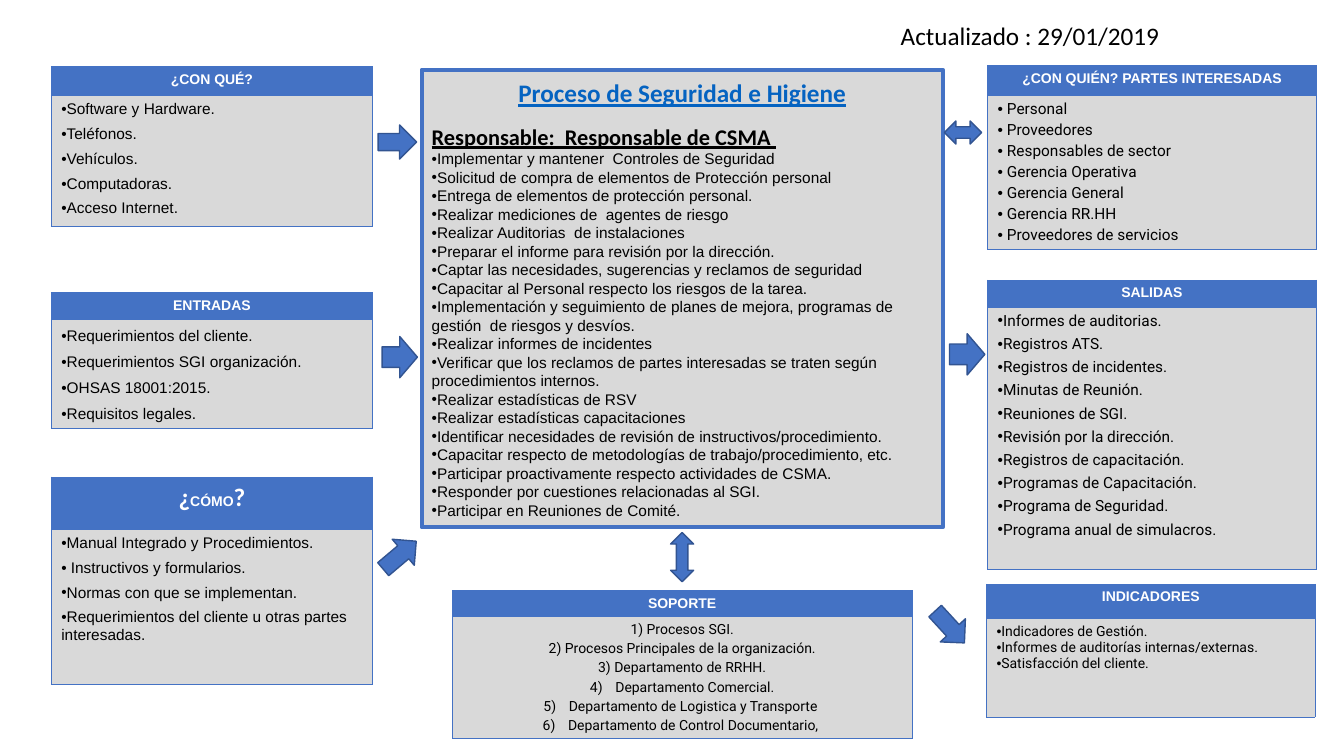
from pptx import Presentation
from pptx.dml.color import RGBColor
from pptx.enum.shapes import MSO_SHAPE as Shape
from pptx.enum.text import MSO_ANCHOR as Anchor, PP_ALIGN as Align
from pptx.oxml import parse_xml
from pptx.oxml.ns import nsdecls
from pptx.util import Cm, Pt

BLUE, DARK_BLUE, GRAY = "4472C4", "325491", "D9D9D9"
WHITE, BLACK, LINK_BLUE = "FFFFFF", "000000", "0563C1"
rgb = RGBColor.from_string


def write(frame, lines, name, size, color=BLACK, bold=False, underline=False,
          align=Align.LEFT, before=0, spacing=1, bullet=False):
    """Add equally formatted lines, filling the first paragraph if it is empty."""
    for line in lines:
        first = frame.paragraphs[0]
        paragraph = frame.add_paragraph() if first.runs else first
        paragraph.add_run().text = line
        paragraph.alignment = align
        paragraph.space_before = Pt(before)
        paragraph.line_spacing = spacing
        font = paragraph.font
        font.name, font.size, font.bold, font.underline = name, Pt(size), bold, underline
        font.color.rgb = rgb(color)
        if bullet:
            for tag in ('buSzPct {} val="100000"', 'buFont {} typeface="Arial"',
                        'buChar {} char="•"'):
                paragraph._p.pPr.insert_element_before(
                    parse_xml(f'<a:{tag.format(nsdecls("a"))}/>'), "a:defRPr")


def style_cell(cell, color):
    """Fill a cell and give it a thin blue border."""
    properties = cell._tc.get_or_add_tcPr()
    for side in "LRTB":
        properties.append(parse_xml(
            f'<a:ln{side} {nsdecls("a")} w="6350"><a:solidFill>'
            f'<a:srgbClr val="{BLUE}"/></a:solidFill></a:ln{side}>'))
    cell.fill.solid()
    cell.fill.fore_color.rgb = rgb(color)


presentation = Presentation()
presentation.slide_width, presentation.slide_height = Cm(33.87), Cm(19.05)
slide = presentation.slides.add_slide(presentation.slide_layouts[6])

# Panels: title, left, top, width, row heights, font, size, space before, line spacing, lines
panels = [
    ("¿CON QUÉ?", 1.29, 1.68, 8.1, (0.73, 3.3), "Arial", 11, 5.5, 1, [
        "Software y Hardware.", "Teléfonos.", "Vehículos.", "Computadoras.",
        "Acceso Internet."]),
    ("ENTRADAS", 1.29, 7.37, 8.1, (0.68, 2.74), "Arial", 11, 3.85, 1.2, [
        "Requerimientos del cliente.", "Requerimientos SGI organización.",
        "OHSAS 18001:2015.", "Requisitos legales."]),
    ("¿CÓMO?", 1.29, 12.02, 8.1, (1.32, 3.91), "Arial", 11, 5.5, 1, [
        "Manual Integrado y Procedimientos.", " Instructivos y formularios.",
        "Normas con que se implementan.",
        "Requerimientos del cliente u otras partes interesadas."]),
    ("INDICADORES", 24.86, 14.72, 8.28, (0.86, 2.49), "Roboto", 10, 0, 1, [
        "Indicadores de Gestión.", "Informes de auditorías internas/externas.",
        "Satisfacción del cliente."]),
    ("SALIDAS", 24.89, 7.06, 8.28, (0.69, 6.6), "Roboto", 11, 4.4, 0.95, [
        "Informes de auditorias.", "Registros ATS.", "Registros de incidentes.",
        "Minutas de Reunión.", "Reuniones de SGI.", "Revisión por la dirección.",
        "Registros de capacitación.", "Programas de Capacitación.",
        "Programa de Seguridad.", "Programa anual de simulacros."]),
    ("¿CON QUIÉN? PARTES INTERESADAS", 24.89, 1.65, 8.28, (0.74, 3.89), "Roboto", 11, 2.2, 1, [
        " Personal", " Proveedores", " Responsables de sector", " Gerencia Operativa",
        " Gerencia General", " Gerencia RR.HH", " Proveedores de servicios"]),
    ("SOPORTE", 11.4, 14.88, 11.58, (0.66, 3.07), "Roboto", 10, 2, 1, [
        "1) Procesos SGI.", "2) Procesos Principales de la organización.",
        "3) Departamento de RRHH.", "Departamento Comercial.",
        "Departamento de Logistica y Transporte ", "Departamento de Control Documentario, "]),
]
for title, left, top, width, heights, name, size, before, spacing, lines in panels:
    table = slide.shapes.add_table(
        2, 1, Cm(left), Cm(top), Cm(width), Cm(sum(heights))).table
    for row, height in zip(table.rows, heights):
        row.height = Cm(height)
    header, body = table.cell(0, 0), table.cell(1, 0)
    style_cell(header, BLUE)
    style_cell(body, GRAY)
    centered = title == "SOPORTE"
    write(body.text_frame, lines, name, size, before=before, spacing=spacing,
          align=Align.CENTER if centered else Align.LEFT, bullet=not centered)
    write(header.text_frame, [title], "Arial", 10, WHITE, bold=True, align=Align.CENTER)
    if title == "¿CÓMO?":
        paragraph = header.text_frame.paragraphs[0]
        paragraph.runs[0].text = title[0]
        for part in (title[1:-1], title[-1]):
            paragraph.add_run().text = part
        for mark in paragraph.runs[::2]:
            mark.font.name, mark.font.size = "Calibri", Pt(18)
    if centered:
        for paragraph in body.text_frame.paragraphs[3:]:
            properties = paragraph._p.pPr
            properties.set("marL", str(Cm(0.64)))
            properties.set("indent", str(-Cm(0.64)))
            properties.insert_element_before(parse_xml(
                f'<a:buAutoNum {nsdecls("a")} type="arabicParenR" startAt="4"/>'), "a:defRPr")

# Central process
process = slide.shapes.add_shape(Shape.RECTANGLE, Cm(10.63), Cm(1.76), Cm(13.13), Cm(11.53))
process.shadow.inherit = False
process.fill.solid()
process.fill.fore_color.rgb = rgb(GRAY)
process.line.color.rgb = rgb(BLUE)
process.line.width = Pt(3)
frame = process.text_frame
frame.word_wrap = True
frame.vertical_anchor = Anchor.MIDDLE
write(frame, ["Proceso de Seguridad e Higiene"], "Calibri", 18, LINK_BLUE,
      bold=True, underline=True, align=Align.CENTER)
write(frame, ["Responsable:  Responsable de CSMA "], "Calibri", 16,
      bold=True, underline=True, before=10.5)
write(frame, [
    "Implementar y mantener  Controles de Seguridad",
    "Solicitud de compra de elementos de Protección personal",
    "Entrega de elementos de protección personal.",
    "Realizar mediciones de  agentes de riesgo",
    "Realizar Auditorias  de instalaciones",
    "Preparar el informe para revisión por la dirección.",
    "Captar las necesidades, sugerencias y reclamos de seguridad",
    "Capacitar al Personal respecto los riesgos de la tarea.",
    "Implementación y seguimiento de planes de mejora, programas de gestión  de riesgos y desvíos.",
    "Realizar informes de incidentes",
    "Verificar que los reclamos de partes interesadas se traten según procedimientos internos.",
    "Realizar estadísticas de RSV",
    "Realizar estadísticas capacitaciones",
    "Identificar necesidades de revisión de instructivos/procedimiento.",
    "Capacitar respecto de metodologías de trabajo/procedimiento, etc.",
    "Participar proactivamente respecto actividades de CSMA.",
    "Responder por cuestiones relacionadas al SGI.",
    "Participar en Reuniones de Comité.",
], "Arial", 11, bullet=True)

# Arrows: kind, left, top, width, height, rotation
arrows = [
    (Shape.RIGHT_ARROW, 9.53, 3.15, 0.97, 0.86, 0),
    (Shape.RIGHT_ARROW, 9.63, 8.48, 0.89, 1.04, 0),
    (Shape.RIGHT_ARROW, 9.53, 13.56, 1.09, 0.86, 319.7),
    (Shape.LEFT_RIGHT_ARROW, 23.8, 3.05, 0.94, 0.58, 0),
    (Shape.RIGHT_ARROW, 23.93, 8.41, 0.89, 1.04, 0),
    (Shape.LEFT_RIGHT_ARROW, 16.57, 13.75, 1.24, 0.58, 90),
    (Shape.RIGHT_ARROW, 23.39, 15.37, 1.09, 0.86, 47.4),
]
for kind, left, top, width, height, rotation in arrows:
    arrow = slide.shapes.add_shape(kind, Cm(left), Cm(top), Cm(width), Cm(height))
    arrow.rotation = rotation
    arrow.shadow.inherit = False
    arrow.fill.solid()
    arrow.fill.fore_color.rgb = rgb(BLUE)
    arrow.line.color.rgb = rgb(DARK_BLUE)
    arrow.line.width = Pt(1)

updated = slide.shapes.add_textbox(Cm(22.45), Cm(0.38), Cm(9.47), Cm(1.02))
updated.text_frame.word_wrap = True
write(updated.text_frame, ["Actualizado : 29/01/2019"], "Calibri", 18)

presentation.save("out.pptx")
